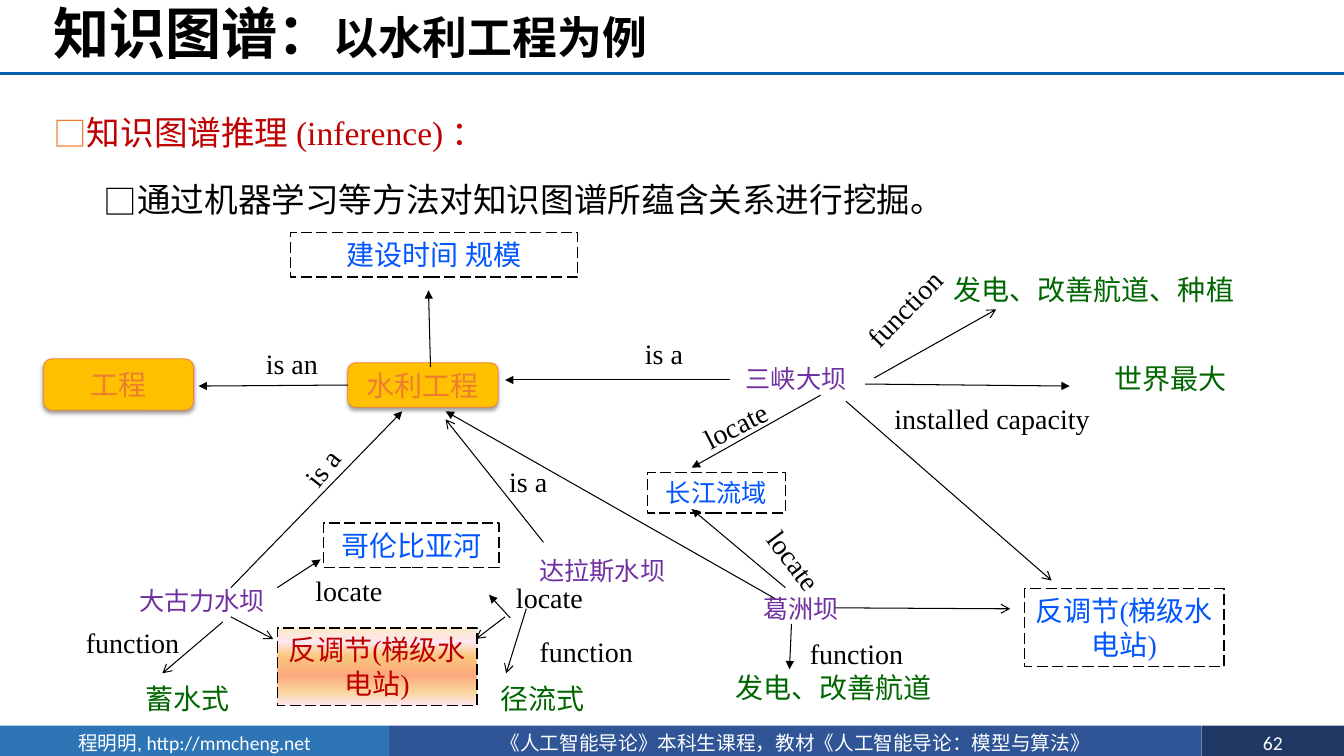
"""Build the knowledge graph inference slide about water engineering."""
from typing import NamedTuple

from lxml.etree import SubElement
from pptx import Presentation
from pptx.dml.color import RGBColor
from pptx.enum.dml import MSO_LINE
from pptx.enum.shapes import MSO_CONNECTOR, MSO_SHAPE
from pptx.enum.text import MSO_ANCHOR, MSO_AUTO_SIZE, PP_ALIGN
from pptx.oxml import parse_xml
from pptx.oxml.ns import nsdecls, qn
from pptx.util import Inches, Pt

COLORS = {
    "black": "000000", "white": "FFFFFF", "red": "C00000", "orange": "ED7D31",
    "gold": "FFC000", "blue": "0156FF", "green": "006600", "purple": "7030A0",
    "rule": "0062AC", "author": "2E75B6", "course": "2F5597", "page": "203864",
}
GRADIENT = {0: "FBEAC7", 18: "FEE7F2", 36: "FAC77D", 61: "FBA97D", 82: "FBD49C", 100: "FEE7F2"}
CJK_FONT = "Noto Sans CJK SC"
SERIF = "Times New Roman"
LINE_HEIGHTS = {18: 0.4, 20: 0.44}


class Label(NamedTuple):
    text: str
    left: float
    top: float
    width: float
    color: str = "black"
    size: int = 20
    rotation: float = 0


class Box(NamedTuple):
    text: str
    left: float
    top: float
    width: float
    height: float
    color: str = "blue"
    size: int = 20


class Arrow(NamedTuple):
    start: tuple[float, float]
    end: tuple[float, float]
    head: str = "triangle"


LABELS = [
    Label("is an", 1.9, 3.39, 1.99),
    Label("is a", 5.59, 3.29, 1.99),
    Label("is a", 4.84, 4.56, 0.8),
    Label("is a", 2.46, 4.42, 1.47, rotation=308.4),
    Label("function", 8.27, 2.84, 1.4, rotation=314.2),
    Label("function", 7.89, 6.27, 1.21),
    Label("function", 0.71, 6.16, 1.21),
    Label("function", 5.21, 6.25, 1.21),
    Label("locate", 7.13, 5.34, 1.49, rotation=53.1),
    Label("locate", 6.75, 4, 1.09, rotation=332.9),
    Label("locate", 2.87, 5.64, 1.18),
    Label("locate", 4.86, 5.71, 1.18),
    Label("installed capacity", 8.73, 3.93, 2.22),
    Label("三峡大坝", 6.9, 3.56, 1.99, "purple", 18),
    Label("葛洲坝", 6.95, 5.84, 1.99, "purple", 18),
    Label("大古力水坝", 1.01, 5.76, 1.99, "purple", 18),
    Label("达拉斯水坝", 4.76, 5.46, 2.43, "purple", 18),
    Label("发电、改善航道、种植", 9.3, 2.65, 3.1, "green"),
    Label("发电、改善航道", 7, 6.6, 2.54, "green"),
    Label("世界最大", 10.61, 3.54, 2, "green"),
    Label("蓄水式", 1.22, 6.71, 1.28, "green"),
    Label("径流式", 4.74, 6.71, 1.28, "green"),
]
DASHED_BOXES = [
    Box("长江流域", 6.42, 4.69, 1.37, 0.4, size=18),
    Box("建设时间 规模", 2.88, 2.31, 2.85, 0.44),
    Box("哥伦比亚河", 3.21, 5.19, 1.74, 0.44),
    Box("反调节(梯级水电站)", 10.16, 5.84, 1.98, 0.77),
]
REGULATION_BOX = Box("反调节(梯级水电站)", 2.75, 6.23, 1.98, 0.77, "red")
PROJECT_BOX = Box("工程", 0.43, 3.56, 1.49, 0.51, "orange")
WATER_BOX = Box("水利工程", 3.45, 3.6, 1.49, 0.44, "orange")
IS_AN_ARROW = Arrow((3.45, 3.82), (1.97, 3.83))
ARROWS = [
    Arrow((7.24, 3.77), (5.01, 3.77)),
    Arrow((8.58, 3.81), (10.61, 3.83)),
    Arrow((4.27, 3.64), (4.25, 2.88)),
    Arrow((2.29, 5.83), (3.99, 4.08)),
    Arrow((7.69, 5.94), (4.42, 4.08)),
    Arrow((7.79, 5.83), (6.86, 5.05)),
    Arrow((8.14, 3.92), (6.86, 4.64)),
    Arrow((7.85, 6.19), (7.83, 6.64)),
    Arrow((2.75, 5.83), (3.18, 5.55)),
    Arrow((5.06, 6.13), (4.85, 5.9)),
    Arrow((8.28, 6.03), (10.02, 6.04), "arrow"),
    Arrow((8.39, 3.98), (10.43, 5.76), "arrow"),
    Arrow((8.67, 3.75), (9.88, 3.07), "arrow"),
    Arrow((2.21, 6.17), (1.61, 6.68), "arrow"),
    Arrow((5.39, 5.38), (4.42, 4.16), "arrow"),
    Arrow((5.22, 6.04), (5.02, 6.68), "arrow"),
    Arrow((2.29, 6.12), (2.71, 6.34), "arrow"),
    Arrow((5.01, 6.12), (4.72, 6.34), "arrow"),
]
FOOTERS = [
    (Box("《人工智能导论》本科生课程，教材《人工智能导论：模型与算法》", 3.86, 7.2, 8.06, 0.34, "white", 14), "course"),
    (Box("程明明, http://mmcheng.net", 0, 7.2, 3.86, 0.34, "white", 14), "author"),
    (Box("62", 11.92, 7.2, 1.41, 0.34, "white", 14), "page"),
]


def rgb(name: str) -> RGBColor:
    """Return the named colour."""
    return RGBColor.from_string(COLORS[name])


def write(paragraph, text: str, *, size: float = 20, color: str = "black", font: str = SERIF,
          bold: bool = False, align=PP_ALIGN.CENTER) -> None:
    """Add a formatted run to a paragraph."""
    paragraph.alignment = align
    run = paragraph.add_run()
    run.text = text
    run.font.size = Pt(size)
    run.font.bold = bold
    run.font.name = font
    run.font.color.rgb = rgb(color)
    SubElement(run.font._element, qn("a:ea"), typeface=CJK_FONT)


def add_label(slide, label: Label) -> None:
    """Draw a text label, turned if needed."""
    shape = slide.shapes.add_textbox(Inches(label.left), Inches(label.top), Inches(label.width),
                                     Inches(LINE_HEIGHTS[label.size]))
    shape.rotation = label.rotation
    frame = shape.text_frame
    frame.word_wrap = True
    frame.auto_size = MSO_AUTO_SIZE.SHAPE_TO_FIT_TEXT
    write(frame.paragraphs[0], label.text, size=label.size, color=label.color)


def add_box(slide, box: Box, *, kind=MSO_SHAPE.RECTANGLE, fill: str = "", font: str = SERIF,
            dashed: bool = False):
    """Draw a box with centred text and return it."""
    shape = slide.shapes.add_shape(kind, Inches(box.left), Inches(box.top),
                                   Inches(box.width), Inches(box.height))
    shape.shadow.inherit = False
    if fill:
        shape.fill.solid()
        shape.fill.fore_color.rgb = rgb(fill)
    else:
        shape.fill.background()
    if dashed:
        shape.line.color.rgb = rgb("black")
        shape.line.width = Pt(1)
        shape.line.dash_style = MSO_LINE.LONG_DASH
    else:
        shape.line.fill.background()
    frame = shape.text_frame
    frame.word_wrap = True
    frame.auto_size = MSO_AUTO_SIZE.SHAPE_TO_FIT_TEXT
    frame.vertical_anchor = MSO_ANCHOR.TOP
    write(frame.paragraphs[0], box.text, size=box.size, color=box.color, font=font)
    return shape


def add_concept(slide, box: Box):
    """Draw a golden rounded box with a soft shadow and return it."""
    shape = add_box(slide, box, kind=MSO_SHAPE.ROUNDED_RECTANGLE, fill="gold")
    shape.line.color.rgb = rgb("orange")
    shape.line.width = Pt(0.5)
    frame = shape.text_frame
    frame.auto_size = MSO_AUTO_SIZE.NONE
    frame.word_wrap = False
    frame.vertical_anchor = MSO_ANCHOR.MIDDLE
    frame.margin_top = frame.margin_bottom = 0
    effects = shape._element.spPr.find(qn("a:effectLst"))
    effects.append(parse_xml(
        f'<a:outerShdw {nsdecls("a")} blurRad="{Pt(3.1)}" dist="{Pt(1.6)}" dir="5400000" rotWithShape="0">'
        f'<a:srgbClr val="{COLORS["black"]}"><a:alpha val="38000"/></a:srgbClr></a:outerShdw>'))
    return shape


def add_line(slide, start: tuple[float, float], end: tuple[float, float], *,
             color: str = "black", width: float = 0.75, head: str = ""):
    """Draw a straight line, with an arrowhead if named, and return it."""
    line = slide.shapes.add_connector(MSO_CONNECTOR.STRAIGHT, *map(Inches, start + end))
    line.line.color.rgb = rgb(color)
    line.line.width = Pt(width)
    if head:
        SubElement(line.line._get_or_add_ln(), qn("a:tailEnd"), type=head)
    SubElement(line._element.spPr, qn("a:effectLst"))
    return line


def add_bullet(paragraph, text: str, indent: float, bullet_color: str, text_color: str) -> None:
    """Fill a paragraph with a square bullet and its text."""
    properties = paragraph._p.get_or_add_pPr()
    properties.set("marL", str(Inches(indent)))
    properties.set("indent", str(Inches(-0.25)))
    color = SubElement(properties, qn("a:buClr"))
    SubElement(color, qn("a:srgbClr"), val=COLORS[bullet_color])
    SubElement(properties, qn("a:buFont"), typeface=CJK_FONT)
    SubElement(properties, qn("a:buChar"), char="□")
    paragraph.line_spacing = 1.5
    write(paragraph, text, size=24, color=text_color, align=PP_ALIGN.LEFT)


def add_heading(slide) -> None:
    """Fill the title and the two bullets below it."""
    title = slide.shapes.title
    title.left, title.top, title.width, title.height = map(Inches, (0.43, 0, 12.9, 0.73))
    title.text_frame.auto_size = MSO_AUTO_SIZE.NONE
    title.text_frame.vertical_anchor = MSO_ANCHOR.MIDDLE
    paragraph = title.text_frame.paragraphs[0]
    paragraph.line_spacing = 0.9
    for text, size in (("知识图谱：", 40), ("以水利工程为例", 32)):
        write(paragraph, text, size=size, font=CJK_FONT, bold=True, align=PP_ALIGN.LEFT)
    body = slide.shapes.add_textbox(*map(Inches, (0.43, 0.86, 12.42, 1.4))).text_frame
    body.word_wrap = True
    add_bullet(body.paragraphs[0], "知识图谱推理 (inference) ：", 0.25, "orange", "red")
    detail = body.add_paragraph()
    add_bullet(detail, "通过机器学习等方法对知识图谱所蕴含关系进行挖掘。", 0.75, "black", "black")
    detail.level = 1
    detail.space_before = Pt(5)


def add_graph(slide) -> None:
    """Draw the knowledge graph."""
    add_concept(slide, PROJECT_BOX)
    water = add_concept(slide, WATER_BOX)
    is_an = add_line(slide, IS_AN_ARROW.start, IS_AN_ARROW.end, head=IS_AN_ARROW.head)
    is_an.begin_connect(water, 1)
    for box in DASHED_BOXES:
        add_box(slide, box, dashed=True)
    regulation = add_box(slide, REGULATION_BOX, dashed=True)
    regulation.fill.gradient()
    regulation.fill.gradient_angle = 270
    stops = regulation._element.spPr.find(qn("a:gradFill")).find(qn("a:gsLst"))
    stops.clear()
    for position, color in GRADIENT.items():
        stop = SubElement(stops, qn("a:gs"), pos=str(position * 1000))
        SubElement(stop, qn("a:srgbClr"), val=color)
    for arrow in ARROWS:
        add_line(slide, arrow.start, arrow.end, head=arrow.head)
    for label in LABELS:
        add_label(slide, label)


def main() -> None:
    """Build and save the presentation."""
    presentation = Presentation()
    presentation.slide_width, presentation.slide_height = Inches(13.33), Inches(7.5)
    slide = presentation.slides.add_slide(presentation.slide_layouts[5])
    for box, fill in FOOTERS:
        add_box(slide, box, fill=fill, font="Calibri")
    add_line(slide, (0, 0.73), (13.33, 0.73), color="rule", width=2)
    add_heading(slide)
    add_graph(slide)
    presentation.save("out.pptx")


if __name__ == "__main__":
    main()
